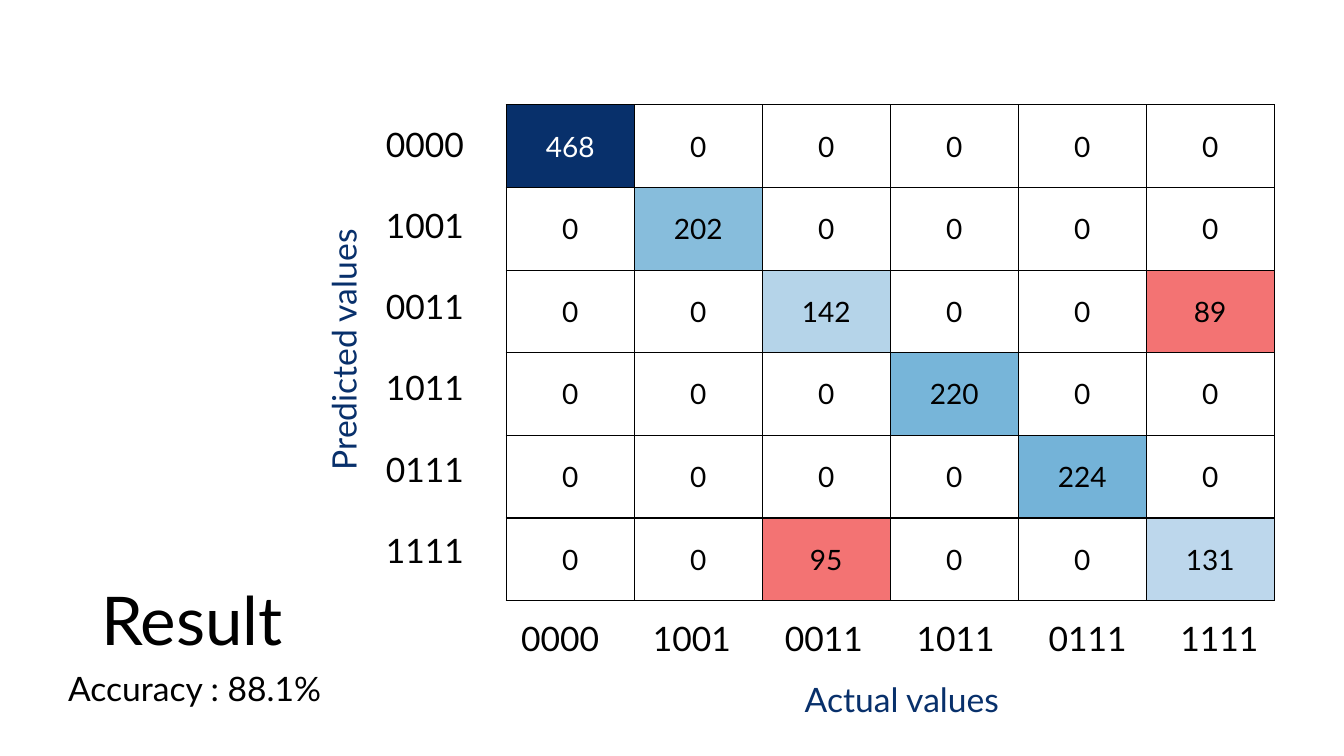
from dataclasses import dataclass

from lxml import etree
from pptx import Presentation
from pptx.dml.color import RGBColor
from pptx.enum.text import MSO_ANCHOR, MSO_AUTO_SIZE, PP_ALIGN
from pptx.oxml.ns import qn
from pptx.util import Inches, Pt

CENTER = PP_ALIGN.CENTER
TOP = MSO_ANCHOR.TOP
MIDDLE = MSO_ANCHOR.MIDDLE
NO_AUTOFIT = MSO_AUTO_SIZE.NONE

FONT = "Lato"
BLACK, WHITE, NAVY = "000000", "FFFFFF", "08306B"
ERROR_RED = "F37373"
TITLE_ONLY_LAYOUT = 5

CLASSES = ["0000", "1001", "0011", "1011", "0111", "1111"]
CONFUSION = [
    [468, 0, 0, 0, 0, 0],
    [0, 202, 0, 0, 0, 0],
    [0, 0, 142, 0, 0, 89],
    [0, 0, 0, 220, 0, 0],
    [0, 0, 0, 0, 224, 0],
    [0, 0, 95, 0, 0, 131],
]
DIAGONAL_FILLS = [NAVY, "87BDDC", "B5D4E9", "77B5D9", "74B3D8", "BDD7EC"]

TABLE_LEFT, TABLE_TOP = 5.02, 1.04
CELL_WIDTH, CELL_HEIGHT = 1.27, 0.82
LABEL_WIDTH, LABEL_HEIGHT = 1.07, 0.5
ROW_LABEL_LEFT, ROW_LABEL_TOP, ROW_LABEL_STEP = 3.68, 1.18, 0.805
COLUMN_LABEL_TOP, COLUMN_LABEL_STEP = 6.08, 1.308


@dataclass
class Label:
    text: str
    left: float
    top: float
    width: float = LABEL_WIDTH
    height: float = LABEL_HEIGHT
    size: int = 24
    color: str = BLACK
    rotation: int = 0


def rgb(color: str) -> RGBColor:
    return RGBColor.from_string(color)


def write_text(text_frame, text: str, size: int, color: str) -> None:
    text_frame.text = text
    paragraph = text_frame.paragraphs[0]
    paragraph.alignment = CENTER
    font = paragraph.runs[0].font
    font.name, font.size = FONT, Pt(size)
    font.color.rgb = rgb(color)


def place_label(shape, label: Label) -> None:
    shape.left, shape.top = Inches(label.left), Inches(label.top)
    shape.width, shape.height = Inches(label.width), Inches(label.height)
    shape.rotation = label.rotation
    text_frame = shape.text_frame
    text_frame.word_wrap = True
    text_frame.auto_size = NO_AUTOFIT
    text_frame.vertical_anchor = TOP
    write_text(text_frame, label.text, label.size, label.color)


def cell_fill(row: int, column: int) -> str:
    if row == column:
        return DIAGONAL_FILLS[row]
    return ERROR_RED if CONFUSION[row][column] else WHITE


def set_borders(cell) -> None:
    """Give all four sides a thin black line, placed ahead of the fill."""
    properties = cell._tc.get_or_add_tcPr()
    for index, side in enumerate(("a:lnL", "a:lnR", "a:lnT", "a:lnB")):
        line = etree.Element(qn(side), w=str(Pt(1)))
        fill = etree.SubElement(line, qn("a:solidFill"))
        etree.SubElement(fill, qn("a:srgbClr"), val=BLACK)
        properties.insert(index, line)


def add_confusion_matrix(slide) -> None:
    count = len(CLASSES)
    table = slide.shapes.add_table(
        count, count, Inches(TABLE_LEFT), Inches(TABLE_TOP),
        Inches(count * CELL_WIDTH), Inches(count * CELL_HEIGHT)).table
    table.first_row = table.horz_banding = False
    for row, values in enumerate(CONFUSION):
        for column, value in enumerate(values):
            cell = table.cell(row, column)
            fill = cell_fill(row, column)
            cell.fill.solid()
            cell.fill.fore_color.rgb = rgb(fill)
            cell.vertical_anchor = MIDDLE
            write_text(cell.text_frame, str(value), 20, WHITE if fill == NAVY else BLACK)
            set_borders(cell)


def main() -> None:
    presentation = Presentation()
    presentation.slide_width, presentation.slide_height = Inches(13.33), Inches(7.5)
    slide = presentation.slides.add_slide(presentation.slide_layouts[TITLE_ONLY_LAYOUT])

    add_confusion_matrix(slide)
    row_labels = [Label(name, ROW_LABEL_LEFT, ROW_LABEL_TOP + index * ROW_LABEL_STEP)
                  for index, name in enumerate(CLASSES)]
    column_labels = [Label(name, TABLE_LEFT + index * COLUMN_LABEL_STEP, COLUMN_LABEL_TOP)
                     for index, name in enumerate(CLASSES)]
    captions = [
        Label("Actual values", 7.26, 6.69, width=3.37, color=NAVY),
        Label("Predicted values", 1.72, 3.22, width=3.37, color=NAVY, rotation=270),
        Label("Accuracy : 88.1%", 0.31, 6.58, width=3.24),
    ]
    for label in row_labels + column_labels + captions:
        place_label(slide.shapes.add_textbox(0, 0, 0, 0), label)
    place_label(slide.shapes.title,
                Label("Result", 0.35, 5.69, width=3.11, height=0.91, size=48))

    presentation.save("out.pptx")


if __name__ == "__main__":
    main()
